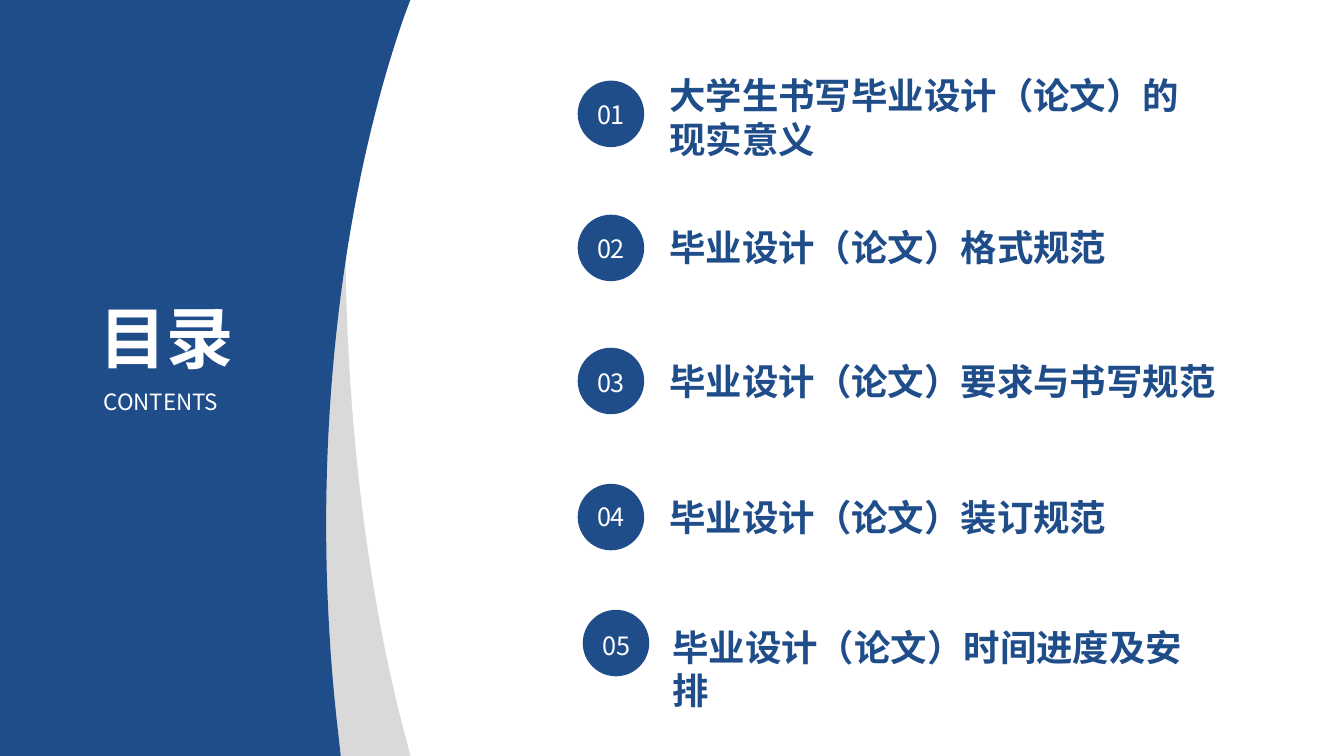
from lxml.etree import SubElement
from pptx import Presentation
from pptx.dml.color import RGBColor
from pptx.enum.shapes import MSO_SHAPE as Preset
from pptx.enum.text import MSO_AUTO_SIZE as AutoSize, PP_ALIGN as Align
from pptx.oxml.ns import qn
from pptx.util import Inches, Pt

BLUE, GREY, WHITE = "1F4D89", "D9D9D9", "FFFFFF"
FONT = "Noto Sans CJK SC"


def color(value):
    return RGBColor.from_string(value)


def bezier(start, first, second, end, steps=40):
    """Points along a cubic curve, start included."""
    points = []
    for step in range(steps + 1):
        t = step / steps
        weights = ((1 - t) ** 3, 3 * t * (1 - t) ** 2, 3 * t ** 2 * (1 - t), t ** 3)
        points.append(tuple(
            sum(weight * value for weight, value in zip(weights, axis))
            for axis in zip(start, first, second, end)))
    return points


class ContentsPage:
    def __init__(self, deck):
        self.page = deck.slides.add_slide(deck.slide_layouts[6])

    def finish(self, shape, fill):
        shape.shadow.inherit = False
        shape.fill.solid()
        shape.fill.fore_color.rgb = color(fill)
        shape.line.fill.background()

    def outline(self, points, fill):
        corners = [(Inches(x), Inches(y)) for x, y in points]
        builder = self.page.shapes.build_freeform(*corners[0])
        builder.add_line_segments(corners[1:], close=True)
        self.finish(builder.convert_to_shape(), fill)

    def circle(self, left, top, size):
        shape = self.page.shapes.add_shape(
            Preset.OVAL, Inches(left), Inches(top), Inches(size), Inches(size))
        self.finish(shape, BLUE)

    def text(self, words, left, top, width, height, size, ink,
             bold=False, align=Align.LEFT):
        box = self.page.shapes.add_textbox(
            Inches(left), Inches(top), Inches(width), Inches(height))
        frame = box.text_frame
        frame.word_wrap = True
        frame.auto_size = AutoSize.SHAPE_TO_FIT_TEXT
        para = frame.paragraphs[0]
        para.alignment = align
        span = para.add_run()
        span.text = words
        font = span.font
        font.size, font.bold, font.name = Pt(size), bold, FONT
        font.color.rgb = color(ink)
        # East Asian typeface
        SubElement(span._r.get_or_add_rPr(), qn("a:ea"), typeface=FONT)

    def entry(self, number, title, left, top, number_drop,
              title_left, title_top, width, height):
        self.circle(left, top, 0.66)
        self.text(number, left + 0.06, top + number_drop, 0.54, 0.4, 18, WHITE,
                  align=Align.CENTER)
        self.text(title, title_left, title_top, width, height, 26, BLUE, bold=True)


def main():
    deck = Presentation()
    deck.slide_width, deck.slide_height = Inches(13.33), Inches(7.5)
    contents = ContentsPage(deck)

    # Curved side panel with its grey edge
    grey_edge = bezier((3.52, 0.18), (3.26, 3.04), (3.57, 5.65), (4.03, 7.34))
    contents.outline([(2.82, 7.5), (2.82, 0), (3.54, 0), *grey_edge, (4.07, 7.5)], GREY)
    blue_edge = bezier((4.01, 0.16), (3.42, 1.85), (3.02, 4.46), (3.36, 7.32))
    contents.outline([(0, 7.5), (0, 0), (4.07, 0), *blue_edge, (3.38, 7.5)], BLUE)

    # Panel heading
    contents.text("目录", 0.89, 2.89, 1.59, 0.91, 48, WHITE, bold=True, align=Align.JUSTIFY)
    contents.text("CONTENTS", 0.93, 3.8, 1.47, 0.37, 16, WHITE, align=Align.JUSTIFY)

    # Entries: title, circle left and top, number drop, title box
    entries = [
        ("大学生书写毕业设计（论文）的现实意义", 5.73, 0.8, 0.14, 6.54, 0.68, 5.43, 0.97),
        ("毕业设计（论文）格式规范", 5.73, 2.13, 0.14, 6.54, 2.18, 5.43, 0.54),
        ("毕业设计（论文）要求与书写规范", 5.73, 3.45, 0.14, 6.54, 3.51, 5.88, 0.54),
        ("毕业设计（论文）装订规范", 5.73, 4.8, 0.12, 6.54, 4.86, 4.58, 0.54),
        ("毕业设计（论文）时间进度及安排", 5.78, 6.05, 0.15, 6.57, 6.15, 5.43, 0.97),
    ]
    for index, entry in enumerate(entries, start=1):
        contents.entry(f"{index:02d}", *entry)

    deck.save("out.pptx")


if __name__ == "__main__":
    main()
